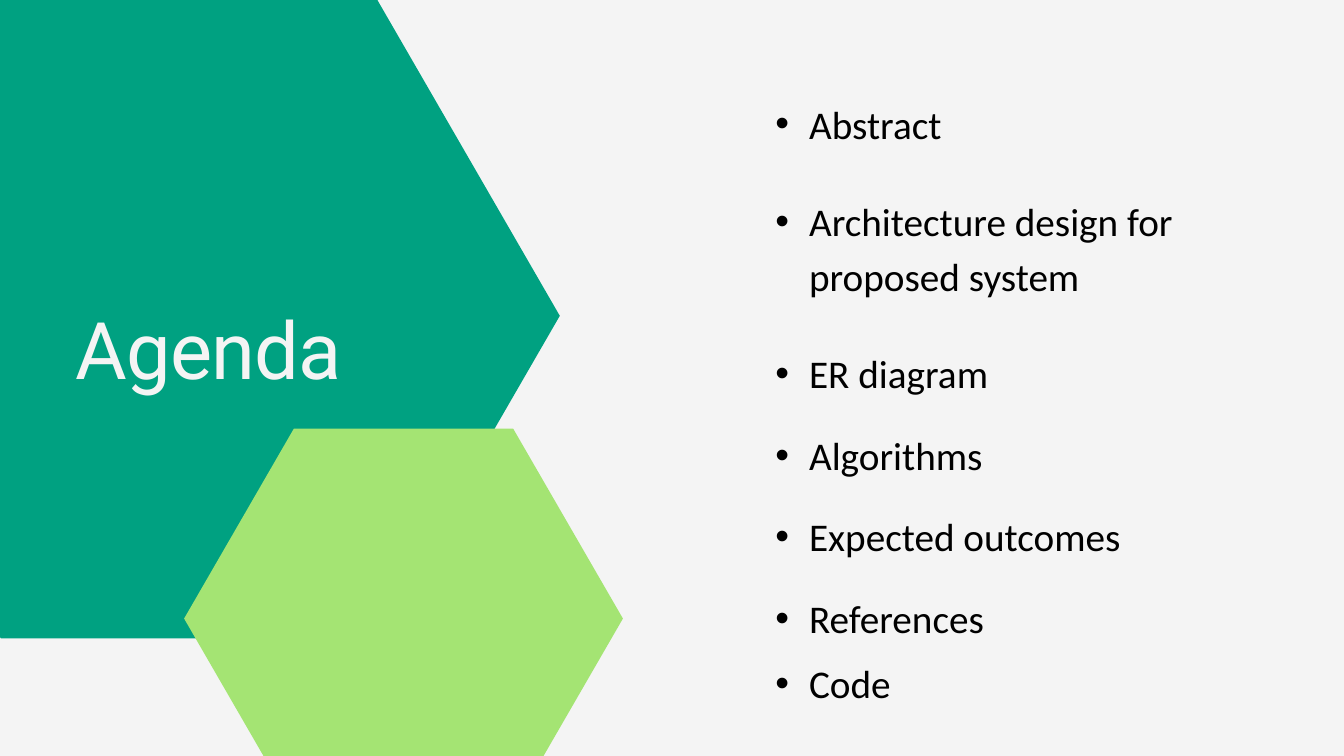
from lxml.etree import SubElement as Sub
from pptx import Presentation
from pptx.dml.color import RGBColor as Rgb
from pptx.enum.text import MSO_AUTO_SIZE as Fit
from pptx.oxml.ns import qn
from pptx.util import Inches, Pt

COLS, ROWS = 20, 11.25
UNIT = Inches(1)
PALE = Rgb(0xF4, 0xF4, 0xF4)
TEAL = Rgb(0x00, 0xA1, 0x81)
LIME = Rgb(0xA4, 0xE4, 0x73)
BLACK = Rgb(0, 0, 0)
LINE = 58.8
WIDE, MID, TIGHT = 0.63, 0.4, 0.15
ITEMS = [
    ("Abstract", 1, WIDE),
    ("Architecture design for proposed system", 2, WIDE),
    ("ER diagram", 1, MID),
    ("Algorithms", 1, MID),
    ("Expected outcomes", 1, MID),
    ("References", 1, TIGHT),
    ("Code", 1, 0),
]


def grid(*cells):
    """Turn grid columns and rows into slide lengths."""
    return [round(cell * UNIT) for cell in cells]


def write(slide, box, text, *, font, size, color, lead, track=0, bullet=None):
    """Place one paragraph of text in a box and format it."""
    shape = slide.shapes.add_textbox(*grid(*box))
    frame = shape.text_frame
    frame.word_wrap = True
    frame.auto_size = Fit.SHAPE_TO_FIT_TEXT
    frame.margin_left = frame.margin_right = 0
    frame.margin_top = frame.margin_bottom = 0
    para = frame.paragraphs[0]
    para.line_spacing = Pt(lead)
    run = para.add_run()
    run.text = text
    run.font.name = font
    run.font.size = Pt(size)
    run.font.color.rgb = color
    if track:
        run.font._element.set("spc", str(round(track * 100)))
    if bullet:
        props = para._p.get_or_add_pPr()
        left, hang = grid(0.99, -0.5)
        props.set("marL", str(left))
        props.set("indent", str(hang))
        Sub(props, qn("a:buFont")).set("typeface", "Arial")
        Sub(props, qn("a:buChar")).set("char", bullet)


def hexagon(slide, box, color):
    """Draw a flat-topped hexagon that fills a box."""
    left, top, width, height = box
    spots = [(1, 0.5), (0.75, 1), (0.25, 1), (0, 0.5), (0.25, 0), (0.75, 0)]
    points = [grid(left + x * width, top + y * height) for x, y in spots]
    path = slide.shapes.build_freeform(*points[0])
    path.add_line_segments(points[1:], close=True)
    shape = path.convert_to_shape()
    shape.shadow.inherit = False
    shape.fill.solid()
    shape.fill.fore_color.rgb = color
    shape.line.fill.background()


def agenda(slide, box):
    """Stack the bulleted items down a box."""
    left, top, width, _ = box
    for text, lines, gap in ITEMS:
        height = lines * LINE / 72
        write(slide, (left, top, width, height), text, font="Calibri",
              size=42, color=BLACK, lead=LINE, bullet="•")
        top += height + gap


def main():
    """Build the agenda slide and save it."""
    deck = Presentation()
    deck.slide_width, deck.slide_height = grid(COLS, ROWS)
    slide = deck.slides.add_slide(deck.slide_layouts[6])
    fill = slide.background.fill
    fill.solid()
    fill.fore_color.rgb = PALE
    hexagon(slide, (-2.76, -0.1, 11.09, 9.6), TEAL)
    hexagon(slide, (2.74, 6.38, 6.53, 5.65), LIME)
    write(slide, (1.12, 4.46, 4.88, 1.41), "Agenda", font="Roboto",
          size=85, color=PALE, lead=102, track=-0.8)
    agenda(slide, (11.05, 1.37, 6.68, 9.1))
    deck.save("out.pptx")


if __name__ == "__main__":
    main()
